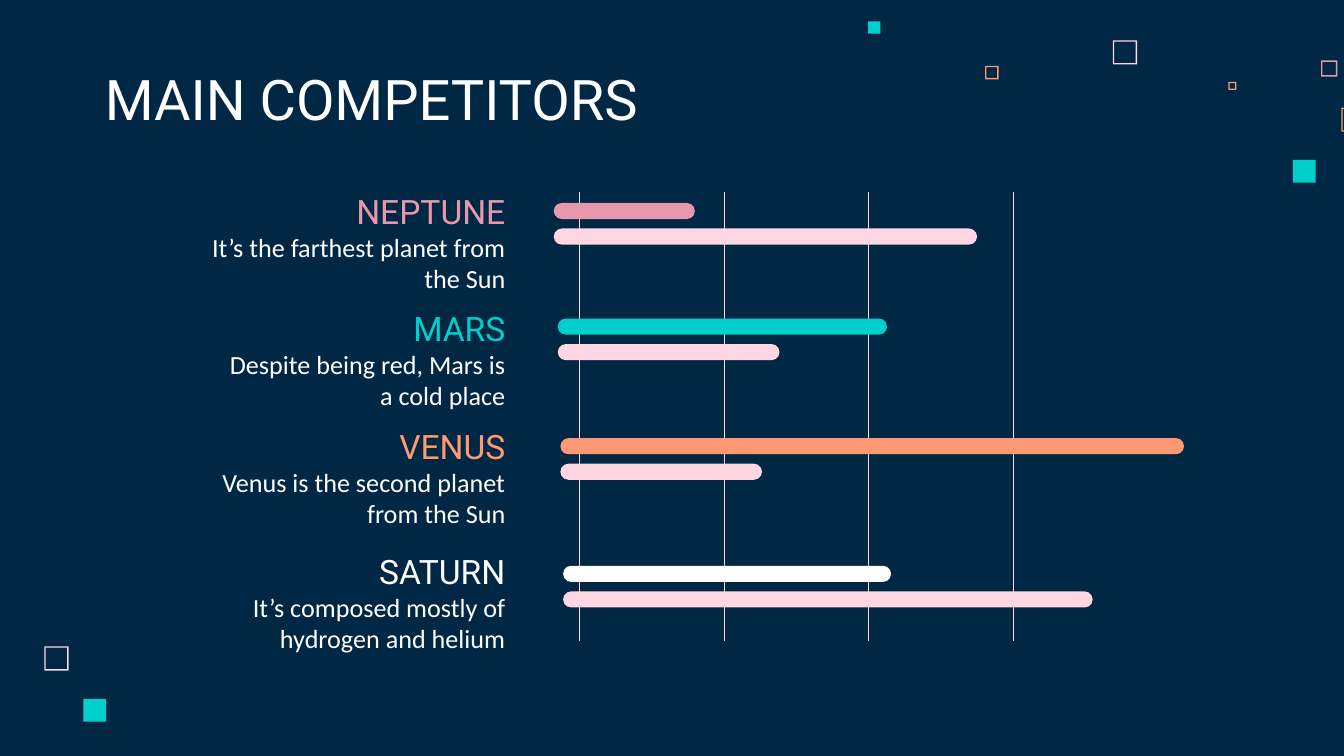
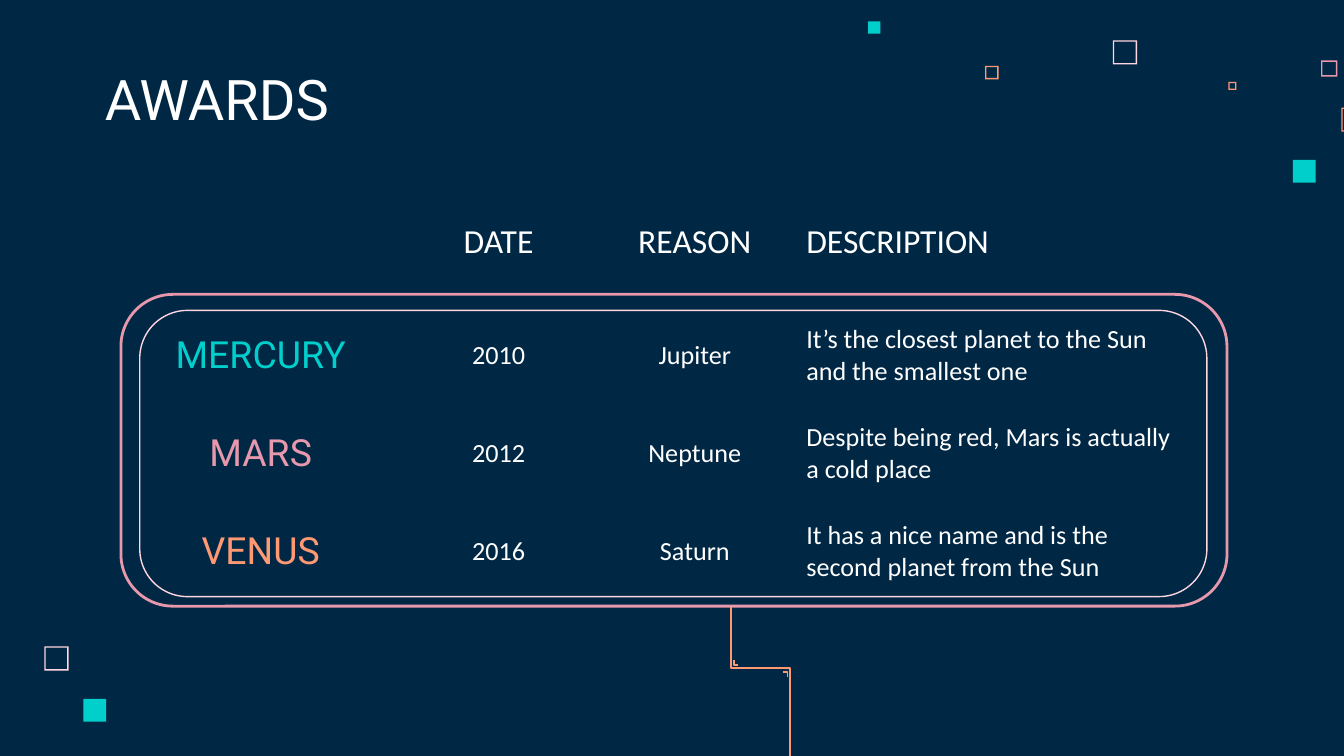
from lxml import etree
from pptx import Presentation
from pptx import util as u
from pptx.dml.color import RGBColor
from pptx.enum import shapes, text
from pptx.oxml import ns

NAVY, WHITE = "002845", "FFFFFF"
PALE, PINK, ORANGE, TEAL = "FFD6E1", "E898AC", "FF9973", "00CFCC"
HEADING_FONT, BODY_FONT = "Roboto", "Calibri"
NO_STYLE = "{2D5ABB26-0587-4C30-8999-92F81FD0307C}"
INSETS = dict.fromkeys(
    ("margin_left", "margin_right", "margin_top", "margin_bottom"), u.Inches(0.1))
SHAPE = shapes.MSO_SHAPE
ALIGN, ANCHOR = text.PP_ALIGN, text.MSO_ANCHOR

# left, top, size, colour, outline thickness (None means solid)
SQUARES = [
    (8.28, 0.3, 0.18, PALE, 0.01),
    (9.83, 0.45, 0.12, PINK, 0.01),
    (9.14, 0.61, 0.06, ORANGE, 0.01),
    (9.98, 0.8, 0.18, ORANGE, 0.01),
    (9.62, 1.19, 0.17, TEAL, None),
    (7.33, 0.49, 0.1, ORANGE, 0.01),
    (6.46, 0.16, 0.09, TEAL, None),
    (0.33, 4.81, 0.18, PALE, 0.01),
    (0.62, 5.2, 0.17, TEAL, None),
]

# name, description, colour, text top, text width, bars left, bars top, bar lengths
COMPETITORS = [
    ("NEPTUNE", "It’s the farthest planet from the Sun", PINK,
     1.39, 2.45, 4.12, 1.51, (1.05, 3.15)),
    ("MARS", "Despite being red, Mars is a cold place", TEAL,
     2.26, 2.36, 4.15, 2.37, (2.45, 1.65)),
    ("VENUS", "Venus is the second planet from the Sun", ORANGE,
     3.14, 2.61, 4.17, 3.26, (4.64, 1.5)),
    ("SATURN", "It’s composed mostly of hydrogen and helium", WHITE,
     4.07, 2.61, 4.19, 4.21, (2.44, 3.94)),
]

AWARD_ROWS = [
    ("", "DATE", "REASON", "DESCRIPTION"),
    ("MERCURY", "2010", "Jupiter",
     "It’s the closest planet to the Sun and the smallest one"),
    ("MARS", "2012", "Neptune", "Despite being red, Mars is actually a cold place"),
    ("VENUS", "2016", "Saturn",
     "It has a nice name and is the second planet from the Sun"),
]
AWARD_COLOURS = [WHITE, TEAL, PINK, ORANGE]


# Shared helpers
def colour(value):
    return RGBColor.from_string(value)


def inches(*values):
    return [u.Inches(value) for value in values]


def set_attributes(target, values):
    for name, value in values.items():
        setattr(target, name, value)


def write(frame, words, size, ink, font=BODY_FONT, align=ALIGN.LEFT, after=0):
    paragraph = frame.paragraphs[0]
    run = paragraph.add_run()
    run.text = words
    set_attributes(paragraph, {"alignment": align, "space_after": u.Pt(after)})
    set_attributes(run.font, {"size": u.Pt(size), "name": font, "bold": False})
    run.font.color.rgb = colour(ink)


def format_frame(frame, anchor):
    set_attributes(frame, {**INSETS, "word_wrap": True, "vertical_anchor": anchor,
                           "auto_size": text.MSO_AUTO_SIZE.NONE})


def add_text(slide, box, words, size, ink, anchor=ANCHOR.TOP, **style):
    frame = slide.shapes.add_textbox(*inches(*box)).text_frame
    format_frame(frame, anchor)
    write(frame, words, size, ink, **style)


def paint(shape, fill=None, line=None, weight=0.75):
    shape.shadow.inherit = False
    if fill:
        shape.fill.solid()
        shape.fill.fore_color.rgb = colour(fill)
    else:
        shape.fill.background()
    if line:
        shape.line.color.rgb = colour(line)
        shape.line.width = u.Pt(weight)
    else:
        shape.line.fill.background()


def add_shape(slide, kind, box, adjustment=None, **style):
    shape = slide.shapes.add_shape(kind, *inches(*box))
    if adjustment is not None:
        shape.adjustments[0] = adjustment
    paint(shape, **style)
    return shape


# Master: background and scattered squares
def decorate_master(master, slide):
    master.background.fill.solid()
    master.background.fill.fore_color.rgb = colour(NAVY)
    for number, (left, top, size, ink, thickness) in enumerate(SQUARES):
        kind = SHAPE.FRAME if thickness else SHAPE.RECTANGLE
        square = add_shape(slide, kind, (left, top, size, size),
                           thickness and thickness / size, fill=ink)
        square.element.nvSpPr.cNvPr.set("id", str(100 + number))
        master.shapes.element.append(square.element)


def add_title(slide, words):
    title = slide.shapes.title
    set_attributes(title, dict(zip(("left", "top", "width", "height"),
                                   inches(0.68, 0.45, 5.17, 0.63))))
    format_frame(title.text_frame, ANCHOR.BOTTOM)
    write(title.text_frame, words, 30, WHITE, HEADING_FONT)


# Competitors: grid lines, labels and paired bars
def add_grid(slide, left, top, width, height, count=4):
    for index in range(count):
        x = left + index * width / (count - 1)
        line = slide.shapes.add_connector(
            shapes.MSO_CONNECTOR.STRAIGHT, *inches(x, top, x, top + height))
        line.line.color.rgb = colour(PALE)
        line.line.width = u.Pt(0.25)
        etree.SubElement(line.element.spPr, ns.qn("a:effectLst"))


def add_label(slide, right, top, width, name, description, ink):
    add_text(slide, (right - 2.06, top, 2.06, 0.43), name, 18, ink, ANCHOR.BOTTOM,
             font=HEADING_FONT, align=ALIGN.RIGHT)
    add_text(slide, (right - width, top + 0.23, width, 0.71), description, 14, WHITE,
             align=ALIGN.RIGHT, after=16)


def add_bars(slide, left, top, lengths, ink):
    for index, (length, fill) in enumerate(zip(lengths, (ink, PALE))):
        add_shape(slide, SHAPE.ROUNDED_RECTANGLE,
                  (left, top + index * 0.19, length, 0.12), 0.5, fill=fill)


def build_competitors(slide):
    add_title(slide, "MAIN COMPETITORS")
    add_grid(slide, 4.31, 1.43, 3.23, 3.34)
    for name, description, ink, top, width, bar_left, bar_top, lengths in COMPETITORS:
        add_bars(slide, bar_left, bar_top, lengths, ink)
        add_label(slide, 3.86, top, width, name, description, ink)


# Awards: double frame, table and stepped cable
def add_double_frame(slide, left, top):
    add_shape(slide, SHAPE.ROUNDED_RECTANGLE, (left, top, 8.23, 2.32), 0.167,
              line=PINK, weight=1.5)
    add_shape(slide, SHAPE.ROUNDED_RECTANGLE, (left + 0.14, top + 0.12, 7.94, 2.13),
              0.167, line=PALE)


def add_awards_table(slide, left, top):
    widths, row_height = (2.08, 1.46, 1.46, 1.46, 1.46), 0.73
    graphic = slide.shapes.add_table(
        len(AWARD_ROWS), len(widths),
        *inches(left, top, sum(widths), row_height * len(AWARD_ROWS)))
    graphic.element.xpath(".//a:tableStyleId")[0].text = NO_STYLE
    table = graphic.table
    set_attributes(table, {"first_row": False, "horz_banding": False})
    for column, width in zip(table.columns, widths):
        column.width = u.Inches(width)
    for row_index, (row, ink) in enumerate(zip(AWARD_ROWS, AWARD_COLOURS)):
        table.rows[row_index].height = u.Inches(row_height)
        table.cell(row_index, 3).merge(table.cell(row_index, 4))
        for column_index in range(len(widths)):
            cell = table.cell(row_index, column_index)
            cell.fill.background()
            anchor = ANCHOR.MIDDLE if row_index else ANCHOR.TOP
            set_attributes(cell, {**INSETS, "vertical_anchor": anchor})
            if column_index == len(row) or not row[column_index]:
                continue
            align = ALIGN.LEFT if column_index == 3 else ALIGN.CENTER
            if column_index == 0:
                style = (20, ink, HEADING_FONT, align)
            else:
                style = (14 if row_index else 18, WHITE, BODY_FONT, align)
            write(cell.text_frame, row[column_index], *style)


def add_cable(slide, left, top):
    cable = [(0, 0), (0, 0.45), (0.44, 0.45), (0.44, 1.41)]
    upper_corner = [(0.02, 0.39), (0.02, 0.43), (0.05, 0.43)]
    lower_corner = [(0.39, 0.48), (0.42, 0.48), (0.42, 0.52)]
    for points in (cable, lower_corner, upper_corner):
        start, *others = [inches(left + x, top + y) for x, y in points]
        builder = slide.shapes.build_freeform(*start)
        builder.add_line_segments(others, close=False)
        paint(builder.convert_to_shape(), line=ORANGE, weight=1)


def build_awards(slide):
    add_title(slide, "AWARDS")
    add_double_frame(slide, 0.9, 2.19)
    add_awards_table(slide, 0.9, 1.55)
    add_cable(slide, 5.44, 4.52)


def main():
    presentation = Presentation()
    width = u.Inches(10)
    set_attributes(presentation, {"slide_width": width,
                                  "slide_height": width * 9 // 16})
    title_only = presentation.slide_layouts[5]
    competitors, awards = [presentation.slides.add_slide(title_only) for _ in range(2)]
    decorate_master(presentation.slide_master, competitors)
    build_competitors(competitors)
    build_awards(awards)
    presentation.save("out.pptx")


if __name__ == "__main__":
    main()
